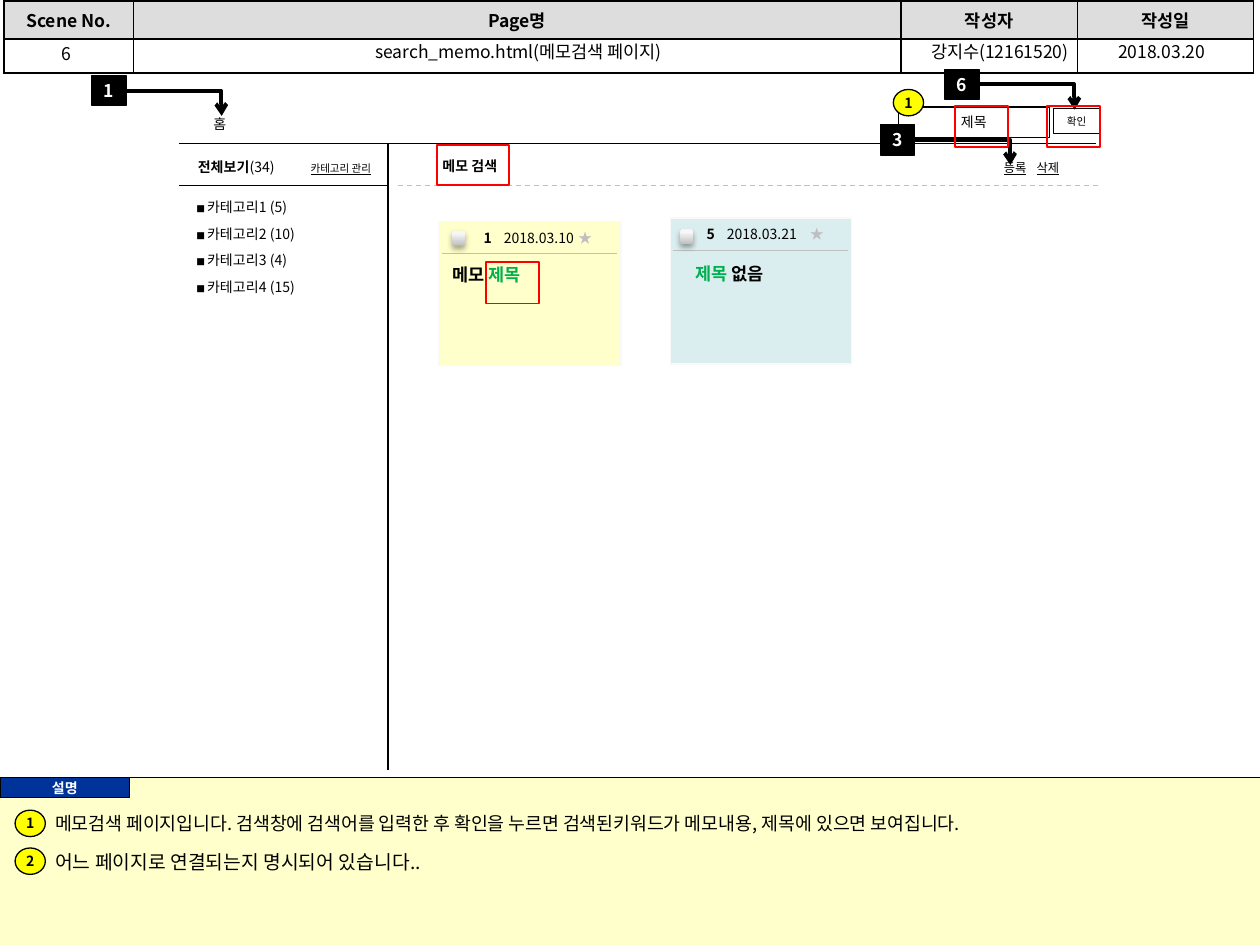
from lxml import etree
from pptx import Presentation
from pptx import util as u
from pptx.dml.color import RGBColor
from pptx.enum import dml, shapes, text
from pptx.oxml import parse_xml
from pptx.oxml.ns import nsdecls, qn

FONT = "Noto Sans CJK KR"
BLACK = RGBColor(0, 0, 0)
WHITE = RGBColor(0xFF, 0xFF, 0xFF)
RED = RGBColor(0xFF, 0, 0)
GREEN = RGBColor(0, 0xB0, 0x50)
YELLOW = RGBColor(0xFF, 0xFF, 0)
CREAM = RGBColor(0xFF, 0xFF, 0xCC)
PALE_BLUE = RGBColor(0xDA, 0xED, 0xEF)
NAVY = RGBColor(0, 0x33, 0x99)
HEADER_GRAY = RGBColor(0xDD, 0xDD, 0xDD)
LINE_GRAY = RGBColor(0xBF, 0xBF, 0xBF)
CARD_EDGE = RGBColor(0xF9, 0xF9, 0xF9)
CENTER, LEFT = text.PP_ALIGN.CENTER, text.PP_ALIGN.LEFT
RECTANGLE, OVAL = shapes.MSO_SHAPE.RECTANGLE, shapes.MSO_SHAPE.OVAL

presentation = Presentation()
presentation.slide_width, presentation.slide_height = u.Inches(10), u.Inches(7.5)
slide = presentation.slides.add_slide(presentation.slide_layouts[6])


def write(frame, runs, align=CENTER, tabs=()):
    """Fill the first paragraph with (text, size, color, style) runs; style holds b and u."""
    paragraph = frame.paragraphs[0]
    paragraph.alignment = align
    if tabs:
        tab_list = etree.SubElement(paragraph._p.get_or_add_pPr(), qn("a:tabLst"))
        for position in tabs:
            etree.SubElement(tab_list, qn("a:tab"), pos=str(u.Inches(position)), algn="l")
    for words, size, color, style in runs:
        run = paragraph.add_run()
        run.text = words
        run.font.size, run.font.name = u.Pt(size), FONT
        run.font.color.rgb = color
        run.font.bold, run.font.underline = "b" in style, "u" in style
        etree.SubElement(run._r.get_or_add_rPr(), qn("a:ea"), typeface=FONT)


def box(kind, at, fill=None, line=None, width=0.75, runs=()):
    """Add a preset shape with optional fill, outline and centred text."""
    shape = slide.shapes.add_shape(kind, *map(u.Inches, at))
    shape.shadow.inherit = False
    if fill is None:
        shape.fill.background()
    else:
        shape.fill.solid()
        shape.fill.fore_color.rgb = fill
    if line is None:
        shape.line.fill.background()
    else:
        shape.line.color.rgb, shape.line.width = line, u.Pt(width)
    if runs:
        frame = shape.text_frame
        frame.margin_left = frame.margin_right = frame.margin_top = frame.margin_bottom = 0
        frame.vertical_anchor = text.MSO_ANCHOR.MIDDLE
        frame.word_wrap = False
        write(frame, runs)
    return shape


# Description panel and header table
box(RECTANGLE, (0, 6.17, 10, 1.33), CREAM)
table = slide.shapes.add_table(2, 4, *map(u.Inches, (0.03, 0.01, 9.92, 0.54))).table
for column, width in zip(table.columns, (1.03, 6.09, 1.4, 1.4)):
    column.width = u.Inches(width)
headings = ("Scene No.", "Page명", "작성자", "작성일")
for index, cell in enumerate(table.iter_cells()):
    if index < len(headings):
        write(cell.text_frame, [(headings[index], 10, BLACK, "b")])
        cell.fill.solid()
        cell.fill.fore_color.rgb = HEADER_GRAY
    else:
        cell.text_frame.paragraphs[0]._p.get_or_add_endParaRPr().set("sz", "1000")
        cell.fill.background()
    properties = cell._tc.get_or_add_tcPr()
    for order, side in enumerate(("lnL", "lnR", "lnT", "lnB")):
        properties.insert(order, parse_xml(
            f'<a:{side} {nsdecls("a")} w="12700"><a:solidFill><a:srgbClr val="000000"/>'
            f'</a:solidFill></a:{side}>'))

# Memo cards
for at, color in (((3.48, 1.76, 1.45, 1.14), CREAM), ((5.32, 1.73, 1.44, 1.16), PALE_BLUE)):
    box(RECTANGLE, at, color, CARD_EDGE)

# Rules
for x1, y1, x2, y2, color, dashed in (
    (0, 6.17, 10, 6.17, BLACK, False),
    (1.42, 1.14, 8.7, 1.14, BLACK, False),
    (3.08, 1.14, 3.08, 6.11, BLACK, False),
    (1.42, 1.47, 3.08, 1.47, BLACK, False),
    (3.16, 1.47, 8.74, 1.47, LINE_GRAY, True),
    (3.51, 2.01, 4.9, 2.01, LINE_GRAY, False),
    (5.34, 1.99, 6.73, 1.99, LINE_GRAY, False),
):
    rule = slide.shapes.add_connector(
        shapes.MSO_CONNECTOR.STRAIGHT, *map(u.Inches, (x1, y1, x2, y2)))
    rule.line.color.rgb, rule.line.width = color, u.Pt(0.75)
    if dashed:
        rule.line.dash_style = dml.MSO_LINE.DASH
    etree.SubElement(rule._element.spPr, qn("a:effectLst"))

box(RECTANGLE, (0, 6.17, 1.03, 0.16), NAVY, BLACK, runs=[("설명", 8, WHITE, "b")])

# Text: position, alignment, tab stops, runs
labels = [
    ((0, 0.29, 1.06, 0.26), CENTER, (), [("6", 10, BLACK, "")]),
    ((1.11, 0.28, 6.01, 0.26), CENTER, (), [("search_memo.html(메모검색 페이지)", 10, BLACK, "")]),
    ((7.17, 0.28, 1.53, 0.51), CENTER, (), [("강지수(12161520)", 10, BLACK, "")]),
    ((8.56, 0.28, 1.32, 0.26), CENTER, (), [("2018.03.20", 10, BLACK, "")]),
    ((1.59, 0.87, 0.31, 0.24), CENTER, (), [("홈", 8, BLACK, "")]),
    ((1.38, 1.21, 0.99, 0.24), CENTER, (), [("전체보기", 8, BLACK, "b"), ("(34)", 8, BLACK, "")]),
    ((2.32, 1.24, 0.77, 0.2), CENTER, (), [("카테고리 관리", 6, BLACK, "u")]),
    ((3.01, 1.2, 1.44, 0.24), CENTER, (), [("메모 검색", 8, BLACK, "b")]),
    ((3.74, 1.77, 1.16, 0.24), LEFT, (0.16, 0.75),
     [("1", 8, BLACK, "b"), ("\t2018.03.10", 8, BLACK, ""), ("\t★", 8, LINE_GRAY, "")]),
    ((3.31, 2.05, 1.1, 0.27), CENTER, (), [("메모 ", 10, BLACK, "b"), ("제목", 10, GREEN, "b")]),
    ((5.51, 1.74, 1.42, 0.24), LEFT, (0.16, 0.82),
     [("5", 8, BLACK, "b"), ("\t2018.03.21", 8, BLACK, ""), ("\t★", 8, LINE_GRAY, "")]),
    ((5.24, 2.04, 1.1, 0.27), CENTER, (), [("제목 ", 10, GREEN, "b"), ("없음", 10, BLACK, "b")]),
    ((7.87, 1.22, 0.87, 0.22), LEFT, (0.26,),
     [("등록", 7, BLACK, "u"), ("\t", 7, BLACK, ""), ("삭제", 7, BLACK, "u")]),
    ((0.34, 6.4, 8.76, 0.28), LEFT, (),
     [("메모검색 페이지입니다. 검색창에 검색어를 입력한 후 확인을 누르면 "
       "검색된키워드가 메모내용, 제목에 있으면 보여집니다.", 10.5, BLACK, "")]),
    ((0.34, 6.7, 8.76, 0.29), LEFT, (),
     [("어느 페이지로 연결되는지 명시되어 있습니다..", 11, BLACK, "")]),
]
for row, count in enumerate((5, 10, 4, 15)):
    labels.append(((1.46, 1.53 + 0.21 * row, 1.5, 0.24), LEFT, (),
                   [("■ ", 5, BLACK, ""), (f"카테고리{row + 1} ({count})", 8, BLACK, "")]))
for at, align, tabs, runs in labels:
    label = slide.shapes.add_textbox(*map(u.Inches, at))
    label.text_frame.word_wrap = True
    write(label.text_frame, runs, align, tabs)

# Card checkboxes
for left, top in ((3.59, 1.83), (5.4, 1.82)):
    checkbox = box(shapes.MSO_SHAPE.ROUNDED_RECTANGLE, (left, top, 0.1, 0.12))
    checkbox.fill.gradient()
    checkbox.fill.gradient_angle = 90
    dark, light = checkbox.fill.gradient_stops
    dark.color.rgb, dark.position = RGBColor(0xBE, 0xBE, 0xBE), 0
    light.color.rgb, light.position = RGBColor(0xF7, 0xF7, 0xF7), 0.8
    checkbox._element.spPr.find(qn("a:effectLst")).append(parse_xml(
        f'<a:outerShdw {nsdecls("a")} blurRad="39370" dist="22860" dir="5400000">'
        '<a:srgbClr val="000000"><a:alpha val="35000"/></a:srgbClr></a:outerShdw>'))

# Search field and button
box(RECTANGLE, (7.13, 0.85, 1.2, 0.24), None, BLACK, runs=[("제목", 8, BLACK, "")])
box(RECTANGLE, (8.36, 0.86, 0.37, 0.2), None, BLACK, runs=[("확인", 6, BLACK, "")])

# Scene links with bent arrows
for number, left, top in (("1", 0.73, 0.6), ("3", 6.99, 0.99), ("6", 7.5, 0.55)):
    box(RECTANGLE, (left, top, 0.27, 0.24), BLACK, BLACK, runs=[(number, 10, WHITE, "b")])
    x, y = left + 0.27, top + 0.12
    arrow = slide.shapes.add_connector(
        shapes.MSO_CONNECTOR.ELBOW, *map(u.Inches, (x, y, x + 0.76, y + 0.2)))
    arrow.line.color.rgb, arrow.line.width = BLACK, u.Pt(2.25)
    etree.SubElement(arrow.line._get_or_add_ln(), qn("a:tailEnd"), type="arrow")
    guides = arrow._element.spPr.find(qn("a:prstGeom")).find(qn("a:avLst"))
    etree.SubElement(guides, qn("a:gd"), name="adj1", fmla="val 99500")
    etree.SubElement(arrow._element.spPr, qn("a:effectLst"))

# Numbered notes and red highlights
for number, left, top in (("1", 0.12, 6.43), ("2", 0.12, 6.73), ("1", 7.09, 0.71)):
    box(OVAL, (left, top, 0.24, 0.21), YELLOW, BLACK, runs=[(number, 8, BLACK, "b")])
for at in ((7.58, 0.84, 0.42, 0.33), (8.31, 0.84, 0.42, 0.33),
           (3.47, 1.15, 0.57, 0.32), (3.86, 2.08, 0.42, 0.33)):
    box(RECTANGLE, at, None, RED, 1)

presentation.save("out.pptx")
